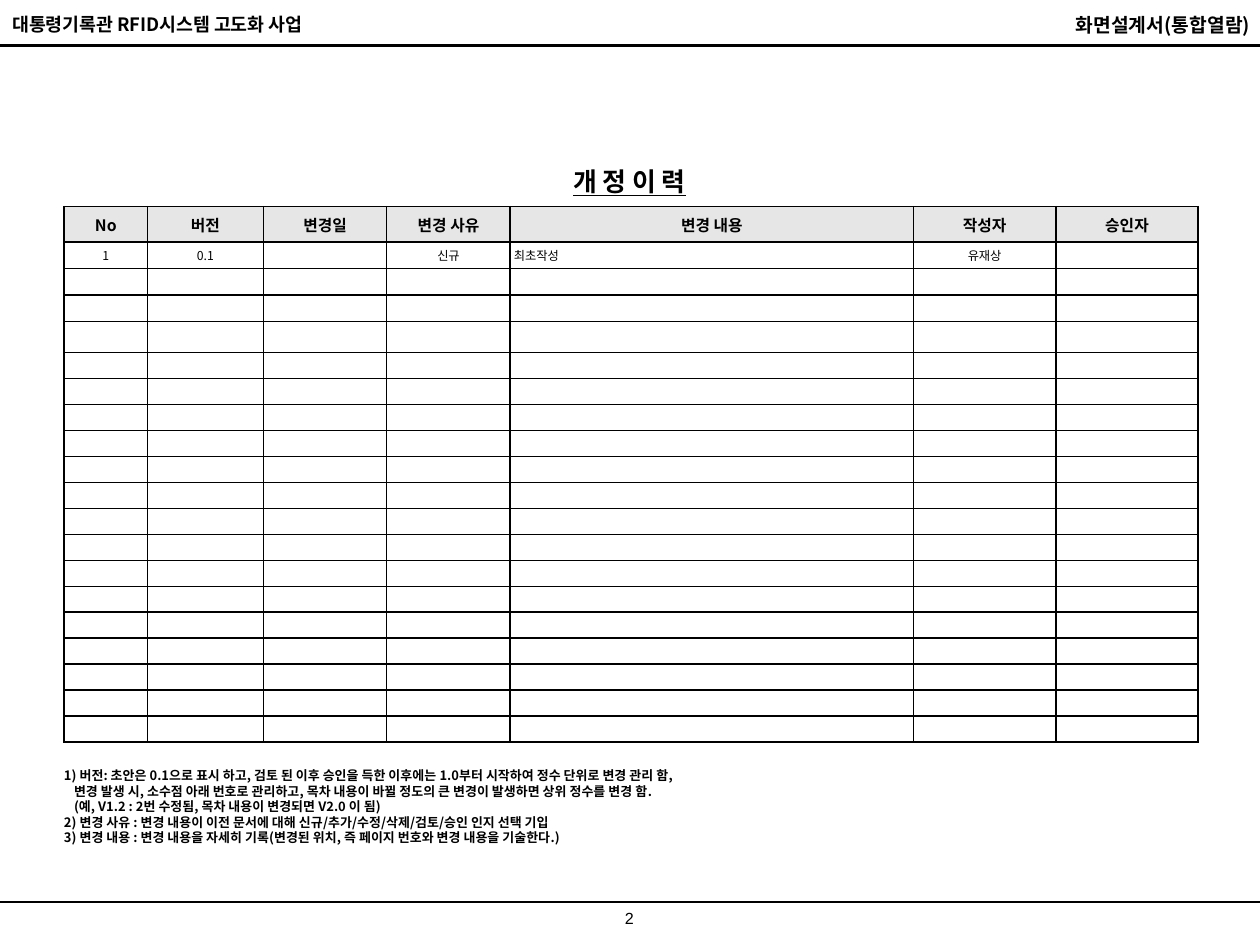
from lxml import etree
from pptx import Presentation, util as u
from pptx.dml.color import RGBColor
from pptx.enum import shapes, text
from pptx.oxml.ns import qn

THEME = {
    "ink": RGBColor(0, 0, 0),
    "head": RGBColor(0xE6, 0xE6, 0xE6),
    "font": "Noto Sans CJK KR",
    "num": "Arial",
    "title": 14.8, "right": 11, "left": 10.5, "page": 9.2,
    "th": 9, "note": 7.4, "td": 7,
    "rule": 1.5, "edge": 1,
}
WIDE, TALL = u.Inches(10), u.Inches(7.5)
COL, ROW = WIDE / 100, TALL / 75
LEFT, MID, RIGHT = text.PP_ALIGN.LEFT, text.PP_ALIGN.CENTER, text.PP_ALIGN.RIGHT

COLS = [6.6, 9.2, 9.8, 9.8, 32, 11.3, 11.3]
TOP_ROWS = [2.8, 2.1, 2.1, 2.1, 2.5]
COUNT, HEIGHT = 20, 42.5
HEADS = ["No", "버전", "변경일", "변경 사유", "변경 내용", "작성자", "승인자"]
FIRST = ["1", "0.1", "", "신규", "최초작성", "유재상", ""]
NOTES = [
    ("1) 버전: 초안은 0.1으로 표시 하고, 검토 된 이후 승인을 득한 이후에는 1.0부터 시작하여 정수 단위로 변경 관리 함,", 0),
    ("변경 발생 시, 소수점 아래 번호로 관리하고, 목차 내용이 바뀔 정도의 큰 변경이 발생하면 상위 정수를 변경 함.", 0.8),
    ("(예, V1.2 : 2번 수정됨, 목차 내용이 변경되면 V2.0 이 됨)", 0.8),
    ("2) 변경 사유 : 변경 내용이 이전 문서에 대해 신규/추가/수정/삭제/검토/승인 인지 선택 기입", 0),
    ("3) 변경 내용 : 변경 내용을 자세히 기록(변경된 위치, 즉 페이지 번호와 변경 내용을 기술한다.)", 0),
]


def apply(obj, form):
    for key, val in form.items():
        setattr(obj, key, val)


def place(x, y, w, h):
    return [round(n) for n in (x * COL, y * ROW, w * COL, h * ROW)]


def write(para, words, size, align=LEFT, face="font", **form):
    para.alignment = align
    run = para.add_run()
    run.text = words
    apply(run.font, {"size": u.Pt(THEME[size]), "name": THEME[face], **form})
    run.font.color.rgb = THEME["ink"]
    etree.SubElement(run.font._element, qn("a:ea"), typeface=THEME[face])


def add_box(slide, spot, lines, size, align=LEFT, **form):
    frame = slide.shapes.add_textbox(*place(*spot)).text_frame
    apply(frame, {"word_wrap": True, "vertical_anchor": text.MSO_ANCHOR.MIDDLE})
    for i, (words, shift) in enumerate(lines):
        para = frame.add_paragraph() if i else frame.paragraphs[0]
        write(para, words, size, align, **form)
        if shift:
            para._p.get_or_add_pPr().set("marL", str(round(shift * COL)))


def add_rule(slide, y):
    x, top, w, _ = place(0, y, 100, 0)
    rule = slide.shapes.add_connector(shapes.MSO_CONNECTOR.STRAIGHT, x, top, x + w, top)
    rule.line.width = u.Pt(THEME["rule"])
    rule.line.color.rgb = THEME["ink"]
    etree.SubElement(rule._element.spPr, qn("a:effectLst"))


def add_edges(cell):
    props = cell._tc.get_or_add_tcPr()
    for i, side in enumerate(("lnL", "lnR", "lnT", "lnB")):
        edge = etree.Element(qn("a:" + side), w=str(u.Pt(THEME["edge"])))
        fill = etree.SubElement(edge, qn("a:solidFill"))
        etree.SubElement(fill, qn("a:srgbClr"), val=str(THEME["ink"]))
        props.insert(i, edge)


def fill_cell(cell, words, head, align):
    pad = round(0.3 * COL)
    apply(cell, {"margin_left": pad, "margin_right": pad, "margin_top": 0,
                 "margin_bottom": 0, "vertical_anchor": text.MSO_ANCHOR.MIDDLE})
    if head:
        cell.fill.solid()
        cell.fill.fore_color.rgb = THEME["head"]
    else:
        cell.fill.background()
    para = cell.text_frame.paragraphs[0]
    if words:
        write(para, words, "th" if head else "td", align, bold=head)
    else:
        etree.SubElement(para._p, qn("a:endParaRPr"), sz=str(THEME["td"] * 100))
    add_edges(cell)


def add_grid(slide, x, y):
    spot = place(x, y, sum(COLS), HEIGHT)
    grid = slide.shapes.add_table(COUNT, len(COLS), *spot).table
    apply(grid, {"first_row": False, "horz_banding": False})
    rest = (HEIGHT - sum(TOP_ROWS)) / (COUNT - len(TOP_ROWS))
    highs = TOP_ROWS + [rest] * (COUNT - len(TOP_ROWS))
    for col, wide in zip(grid.columns, COLS):
        col.width = round(wide * COL)
    for row, high in zip(grid.rows, highs):
        row.height = round(high * ROW)
    blank = [""] * len(COLS)
    for r, words in enumerate([HEADS, FIRST] + [blank] * (COUNT - 2)):
        for c, word in enumerate(words):
            align = LEFT if r and HEADS[c] == "변경 내용" else MID
            fill_cell(grid.cell(r, c), word, r == 0, align)


def main():
    deck = Presentation()
    apply(deck, {"slide_width": WIDE, "slide_height": TALL})
    slide = deck.slides.add_slide(deck.slide_layouts[6])
    for y in (3.6, 71.6):
        add_rule(slide, y)
    add_box(slide, (45.3, 71.6, 9.3, 2.6), [("2", 0)], "page", MID, face="num")
    add_box(slide, (0, 0.5, 41.5, 2.8), [("대통령기록관 RFID시스템 고도화 사업", 0)],
            "left", bold=True)
    add_box(slide, (58.7, 0.6, 41.5, 2.8), [("화면설계서(통합열람)", 0)],
            "right", RIGHT, bold=True)
    add_grid(slide, 5.1, 16.4)
    add_box(slide, (4.1, 60.4, 70.7, 7.2), NOTES, "note", bold=True)
    add_box(slide, (3.8, 12.6, 92.3, 3.5), [("개 정 이 력", 0)],
            "title", MID, bold=True, underline=True)
    deck.save("out.pptx")


if __name__ == "__main__":
    main()
